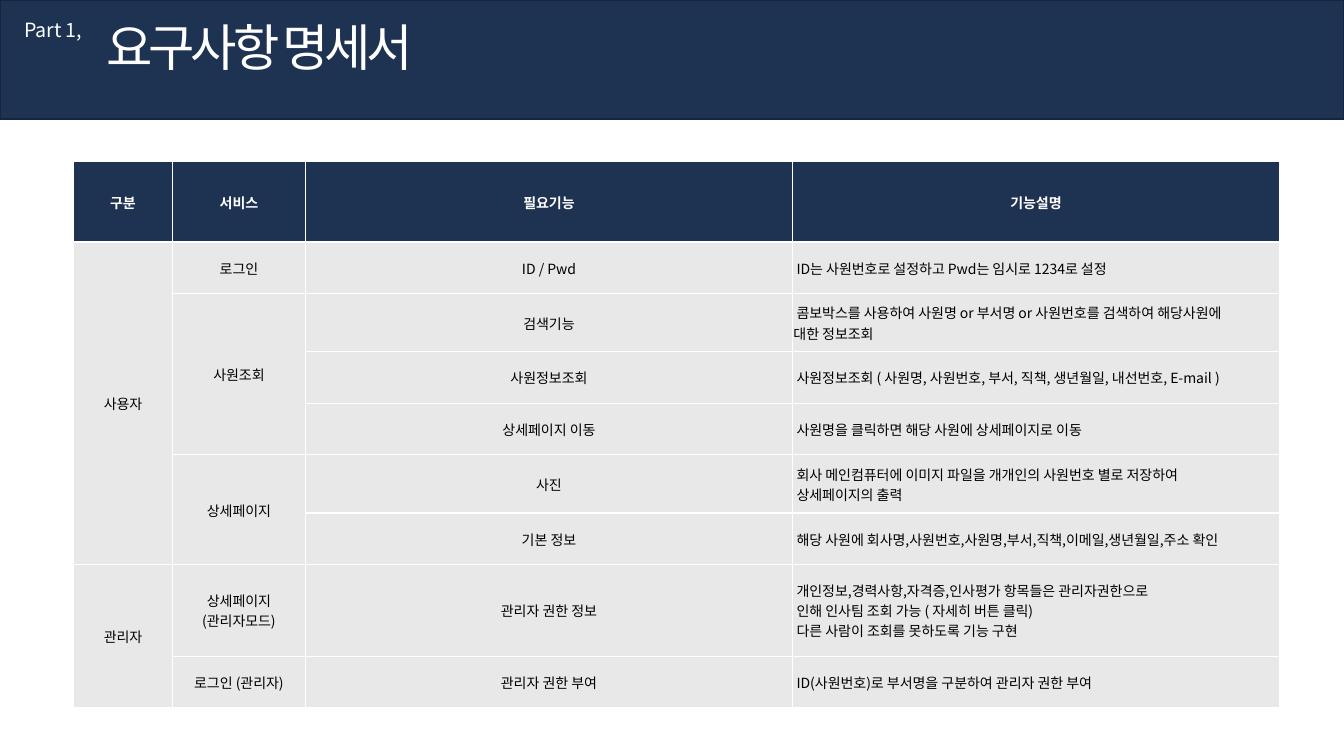
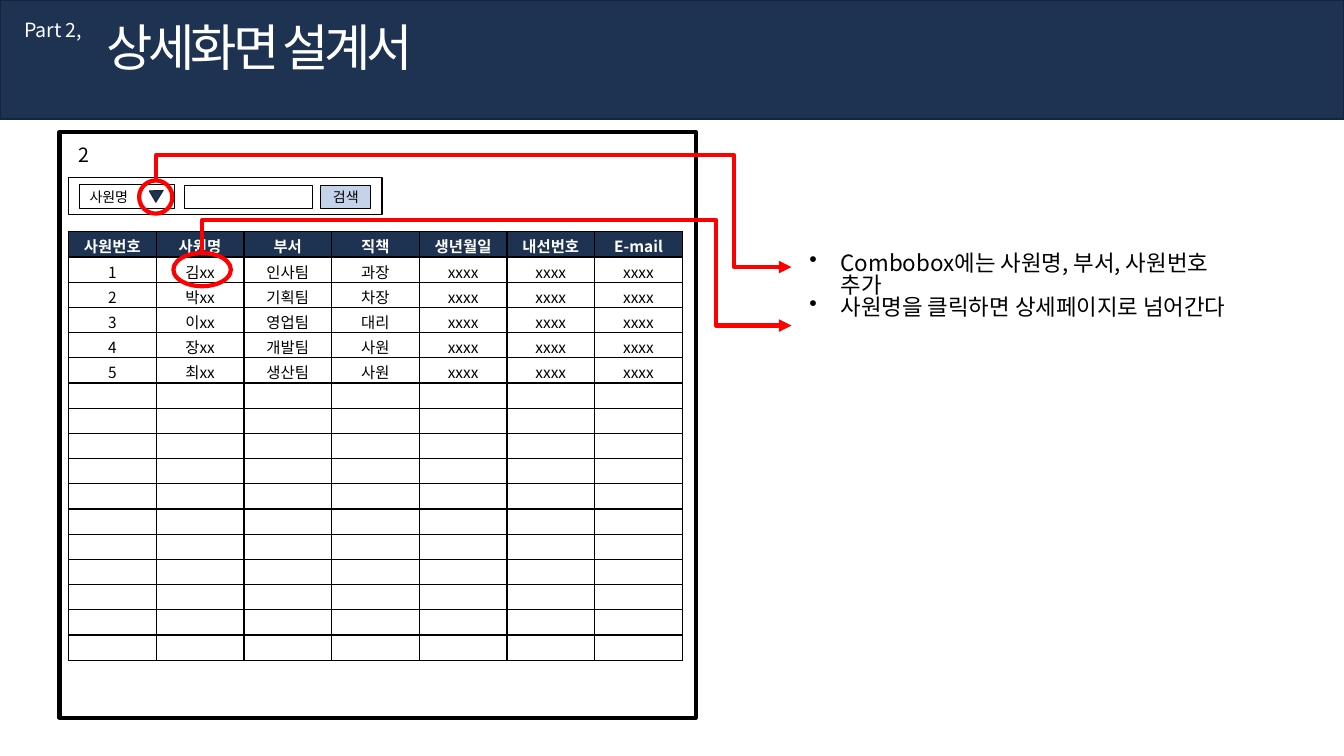
from dataclasses import dataclass
from typing import Optional

from lxml import etree
from pptx import Presentation
from pptx.dml.color import RGBColor
from pptx.enum import shapes, text
from pptx.oxml import ns
from pptx.util import Inches, Pt

FONT = "Noto Sans CJK KR"
NAVY, NAVY_EDGE = "1E3252", "16253D"
WHITE, BLACK, RED = "FFFFFF", "000000", "FF0000"
PALE_GREY, PALE_BLUE = "E8E8E9", "C5D3EA"
CENTER, LEFT = text.PP_ALIGN.CENTER, text.PP_ALIGN.LEFT
SHAPE = shapes.MSO_SHAPE


@dataclass
class Box:
    left: float
    top: float
    width: float
    height: float

    def lengths(self) -> list:
        return [Inches(v) for v in (self.left, self.top, self.width, self.height)]


@dataclass
class TextStyle:
    size: float
    color: str = BLACK
    bold: bool = False
    align: text.PP_ALIGN = LEFT
    line_spacing: Optional[float] = None


@dataclass
class TableStyle:
    size: float
    body_fill: Optional[str]
    border: str
    margins: tuple  # left, top, right, bottom
    anchor: text.MSO_ANCHOR
    left_columns: tuple = ()


@dataclass
class Callout:
    """A red ring and an arrow that rises from it, runs right and drops."""
    ring: Box
    rise_to: float
    turn_at: float
    end_y: float


# ---- Shared helpers ----
def rgb(color: str) -> RGBColor:
    return RGBColor.from_string(color)


def add_xml(parent, tag: str, **attributes):
    return etree.SubElement(parent, ns.qn(tag), attributes)


def style_paragraph(paragraph, style: TextStyle) -> None:
    paragraph.alignment = style.align
    if style.line_spacing:
        paragraph.line_spacing = style.line_spacing
    font = paragraph.font
    font.name, font.size, font.bold = FONT, Pt(style.size), style.bold
    font.color.rgb = rgb(style.color)
    add_xml(font._element, "a:ea", typeface=FONT)
    if not paragraph.runs:
        paragraph._p.get_or_add_endParaRPr().set("sz", str(int(style.size * 100)))


def write(frame, content: str, style: TextStyle) -> None:
    frame.text = content
    for paragraph in frame.paragraphs:
        style_paragraph(paragraph, style)


def add_label(slide, box: Box, content: str, style: TextStyle, wrap: bool = True):
    label = slide.shapes.add_textbox(*box.lengths())
    label.text_frame.word_wrap = wrap
    write(label.text_frame, content, style)
    return label


def add_box(parent, box: Box, line: str, weight: float, fill: Optional[str] = None,
            kind: SHAPE = SHAPE.RECTANGLE, content: str = "",
            align: text.PP_ALIGN = LEFT):
    shape = parent.shapes.add_shape(kind, *box.lengths())
    shape.shadow.inherit = False
    if fill:
        shape.fill.solid()
        shape.fill.fore_color.rgb = rgb(fill)
    else:
        shape.fill.background()
    shape.line.color.rgb = rgb(line)
    shape.line.width = Pt(weight)
    if content:
        shape.text_frame.vertical_anchor = text.MSO_ANCHOR.MIDDLE
        write(shape.text_frame, content, TextStyle(10, align=align))
    return shape


def add_page(presentation, part: str, title: str):
    slide = presentation.slides.add_slide(presentation.slide_layouts[6])
    add_box(slide, Box(0, 0, 13.33, 1.18), NAVY_EDGE, 1, NAVY)
    heading = add_label(slide, Box(0.96, 0.11, 6.89, 0.71), title, TextStyle(36, WHITE))
    heading.text_frame.paragraphs[0].font._element.set("spc", "-300")
    add_label(slide, Box(0.14, 0.13, 0.84, 0.34), part, TextStyle(14, WHITE), wrap=False)
    return slide


# ---- Tables ----
def style_cell(cell, content: str, style: TableStyle, header: bool, align) -> None:
    (cell.margin_left, cell.margin_top,
     cell.margin_right, cell.margin_bottom) = map(Inches, style.margins)
    cell.vertical_anchor = style.anchor
    properties = cell._tc.get_or_add_tcPr()
    for side in ("L", "R", "T", "B"):
        edge = add_xml(properties, f"a:ln{side}", w=str(Pt(1)))
        add_xml(add_xml(edge, "a:solidFill"), "a:srgbClr", val=style.border)
    fill = NAVY if header else style.body_fill
    if fill:
        cell.fill.solid()
        cell.fill.fore_color.rgb = rgb(fill)
    else:
        cell.fill.background()
    write(cell.text_frame, content,
          TextStyle(style.size, WHITE if header else BLACK, header, align))


def add_grid(slide, left: float, top: float, widths: list, heights: list,
             rows: list, style: TableStyle):
    box = Box(left, top, sum(widths), sum(heights))
    table = slide.shapes.add_table(len(rows), len(widths), *box.lengths()).table
    table.horz_banding = False
    for column, width in zip(table.columns, widths):
        column.width = Inches(width)
    for i, (height, row) in enumerate(zip(heights, rows)):
        table.rows[i].height = Inches(height)
        for j, content in enumerate(row):
            align = LEFT if i and j in style.left_columns else CENTER
            style_cell(table.cell(i, j), content, style, i == 0, align)
    return table


# ---- Callouts ----
def add_callout(slide, callout: Callout, end_x: float) -> None:
    ring = callout.ring
    add_box(slide, ring, RED, 3, kind=SHAPE.OVAL)
    start_x, start_y = ring.left + ring.width / 2, ring.top
    run, drop = end_x - start_x, callout.end_y - start_y
    # The frame is turned by 270 degrees, so its width is the drop
    left = (start_x + end_x - drop) / 2
    top = (start_y + callout.end_y - run) / 2
    arrow = slide.shapes.add_connector(
        shapes.MSO_CONNECTOR.ELBOW, Inches(left), Inches(top),
        Inches(left + drop), Inches(top + run))
    arrow.line.color.rgb = rgb(RED)
    arrow.line.width = Pt(3)
    properties = arrow._element.spPr
    frame = properties.find(ns.qn("a:xfrm"))
    frame.set("rot", "16200000")
    frame.set("flipH", "1")
    geometry = properties.find(ns.qn("a:prstGeom"))
    geometry.set("prst", "bentConnector4")
    bends = geometry.find(ns.qn("a:avLst"))
    ratios = ((callout.rise_to - start_y) / drop, (callout.turn_at - start_x) / run)
    for number, ratio in enumerate(ratios, 1):
        add_xml(bends, "a:gd", name=f"adj{number}", fmla=f"val {round(ratio * 100000)}")
    add_xml(properties.find(ns.qn("a:ln")), "a:tailEnd", type="triangle")
    add_xml(properties, "a:effectLst")


# ---- Slide 1: requirements ----
REQUIREMENTS = [
    ("구분", "서비스", "필요기능", "기능설명"),
    ("사용자", "로그인", "ID / Pwd", " ID는 사원번호로 설정하고 Pwd는 임시로 1234로 설정"),
    ("", "사원조회", "검색기능",
     " 콤보박스를 사용하여 사원명 or 부서명 or 사원번호를 검색하여 해당사원에\v대한 정보조회"),
    ("", "", "사원정보조회",
     " 사원정보조회 ( 사원명, 사원번호, 부서, 직책, 생년월일, 내선번호, E-mail )"),
    ("", "", "상세페이지 이동", " 사원명을 클릭하면 해당 사원에 상세페이지로 이동"),
    ("", "상세페이지", "사진",
     " 회사 메인컴퓨터에 이미지 파일을 개개인의 사원번호 별로 저장하여\n 상세페이지의 출력"),
    ("", "", "기본 정보",
     " 해당 사원에 회사명,사원번호,사원명,부서,직책,이메일,생년월일,주소 확인"),
    ("관리자", "상세페이지(관리자모드)", "관리자 권한 정보",
     " 개인정보,경력사항,자격증,인사평가 항목들은 관리자권한으로\n"
     " 인해 인사팀 조회 가능 ( 자세히 버튼 클릭)\v 다른 사람이 조회를 못하도록 기능 구현"),
    ("", "로그인 (관리자)", "관리자 권한 부여",
     " ID(사원번호)로 부서명을 구분하여 관리자 권한 부여"),
]
MERGES = [(0, 1, 6), (1, 2, 4), (1, 5, 6), (0, 7, 8)]  # column, first row, last row


def build_requirements(presentation) -> None:
    slide = add_page(presentation, "Part 1,", "요구사항 명세서")
    style = TableStyle(10, PALE_GREY, WHITE, (0.01, 0.01, 0.01, 0),
                       text.MSO_ANCHOR.MIDDLE, left_columns=(3,))
    heights = [0.8, 0.51, 0.58, 0.51, 0.51, 0.58, 0.51, 0.91, 0.51]
    table = add_grid(slide, 0.73, 1.6, [0.98, 1.32, 4.83, 4.83], heights,
                     REQUIREMENTS, style)
    for column, first, last in MERGES:
        table.cell(first, column).merge(table.cell(last, column))


# ---- Slide 2: screen design ----
EMPLOYEE_HEADER = ("사원번호", "사원명", "부서", "직책", "생년월일", "내선번호", "E-mail")
EMPLOYEES = [("김xx", "인사팀", "과장"), ("박xx", "기획팀", "차장"), ("이xx", "영업팀", "대리"),
             ("장xx", "개발팀", "사원"), ("최xx", "생산팀", "사원")]
EMPTY_ROWS = 11
NOTES = "Combobox에는 사원명, 부서, 사원번호 추가\n사원명을 클릭하면 상세페이지로 넘어간다"
CALLOUTS = [Callout(Box(1.38, 1.79, 0.33, 0.33), 1.54, 7.28, 2.65),
            Callout(Box(1.72, 2.51, 0.57, 0.33), 2.18, 7.1, 3.23)]


def add_search_bar(slide) -> None:
    bar = slide.shapes.add_group_shape()
    add_box(bar, Box(0.68, 1.76, 3.11, 0.37), BLACK, 1)
    add_box(bar, Box(0.79, 1.83, 0.94, 0.24), BLACK, 0.75, content="사원명")
    marker = add_box(bar, Box(1.5, 1.86, 0.13, 0.12), NAVY_EDGE, 0.75, NAVY,
                     SHAPE.ISOSCELES_TRIANGLE)
    marker.rotation = 60
    add_box(bar, Box(1.83, 1.84, 1.27, 0.23), BLACK, 0.75)
    add_box(bar, Box(3.18, 1.84, 0.5, 0.23), BLACK, 0.75, PALE_BLUE,
            content="검색", align=CENTER)


def build_screen_design(presentation) -> None:
    slide = add_page(presentation, "Part 2,", "상세화면 설계서")
    notes = add_label(slide, Box(7.93, 2.47, 4.57, 1.18), NOTES,
                      TextStyle(16, line_spacing=0.82))
    for paragraph in notes.text_frame.paragraphs:
        properties = paragraph._p.get_or_add_pPr()
        properties.set("marL", str(Inches(0.31)))
        properties.set("indent", str(Inches(-0.31)))
        bullet = etree.Element(ns.qn("a:buChar"), char="•")
        properties.find(ns.qn("a:defRPr")).addprevious(bullet)

    # Screen mock-up
    add_box(slide, Box(0.59, 1.31, 6.31, 5.81), BLACK, 3)
    add_label(slide, Box(0.68, 1.37, 0.36, 0.34), "2", TextStyle(14))
    add_search_bar(slide)
    columns = len(EMPLOYEE_HEADER)
    rows = [EMPLOYEE_HEADER]
    rows += [(str(i), *employee) + ("xxxx",) * 3 for i, employee in enumerate(EMPLOYEES, 1)]
    rows += [("",) * columns] * EMPTY_ROWS
    style = TableStyle(11, None, BLACK, (0.07, 0.03, 0.07, 0.03), text.MSO_ANCHOR.TOP)
    add_grid(slide, 0.68, 2.3, [0.87] * columns, [0.25] * len(rows), rows, style)

    for callout in CALLOUTS:
        add_callout(slide, callout, end_x=7.85)


def main() -> None:
    presentation = Presentation()
    presentation.slide_width, presentation.slide_height = Inches(13.33), Inches(7.5)
    build_requirements(presentation)
    build_screen_design(presentation)
    presentation.save("out.pptx")


if __name__ == "__main__":
    main()
